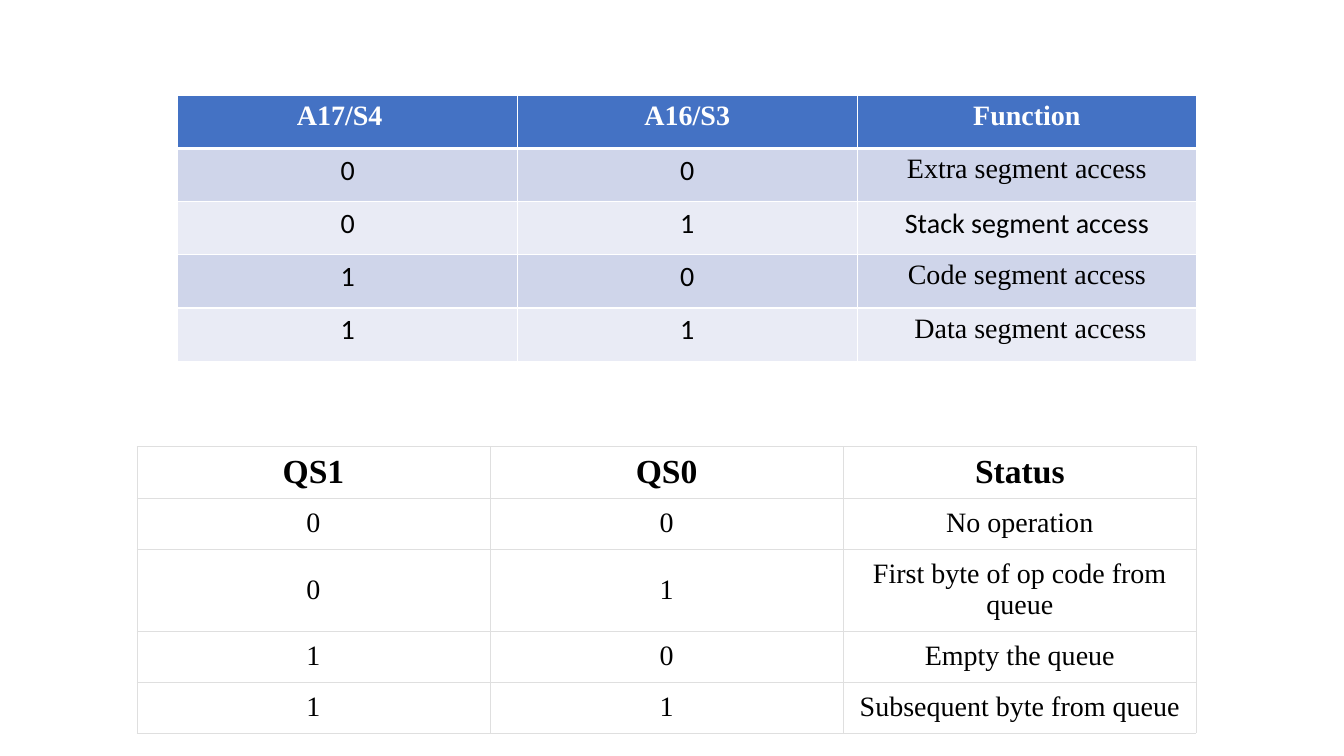
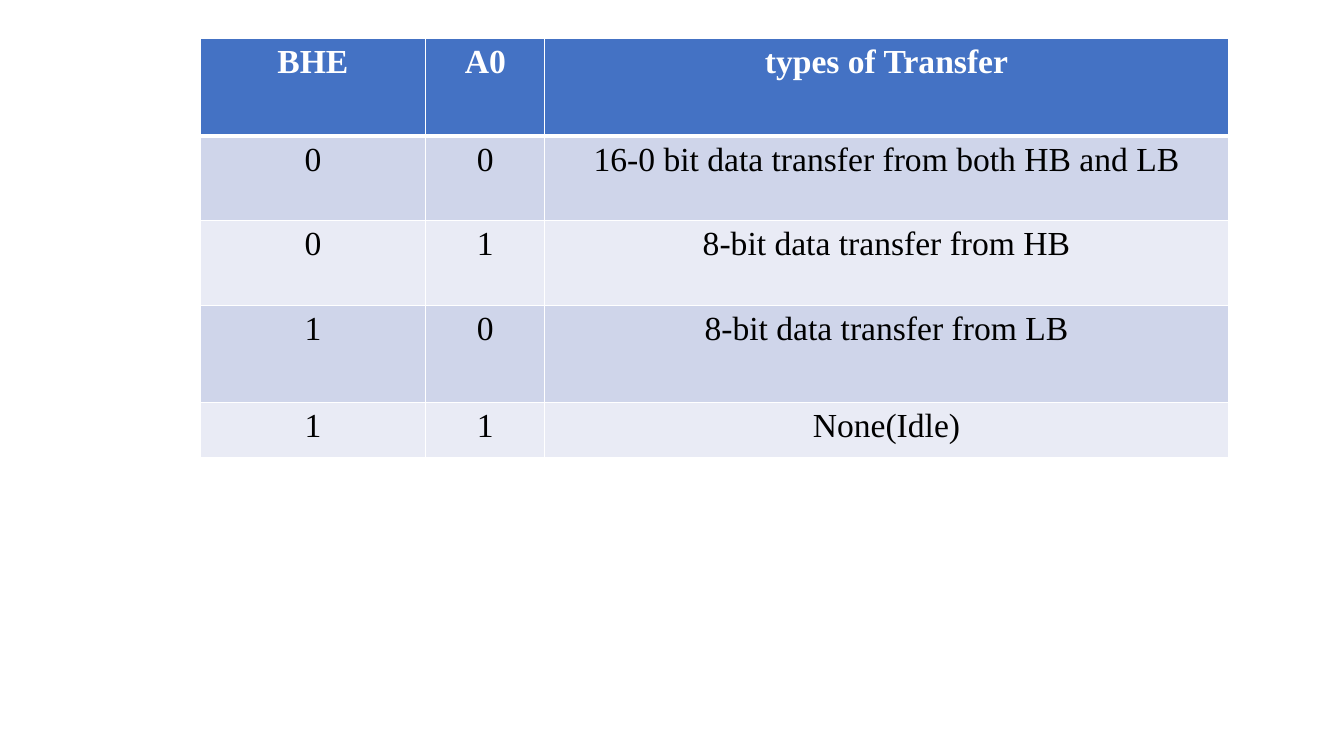
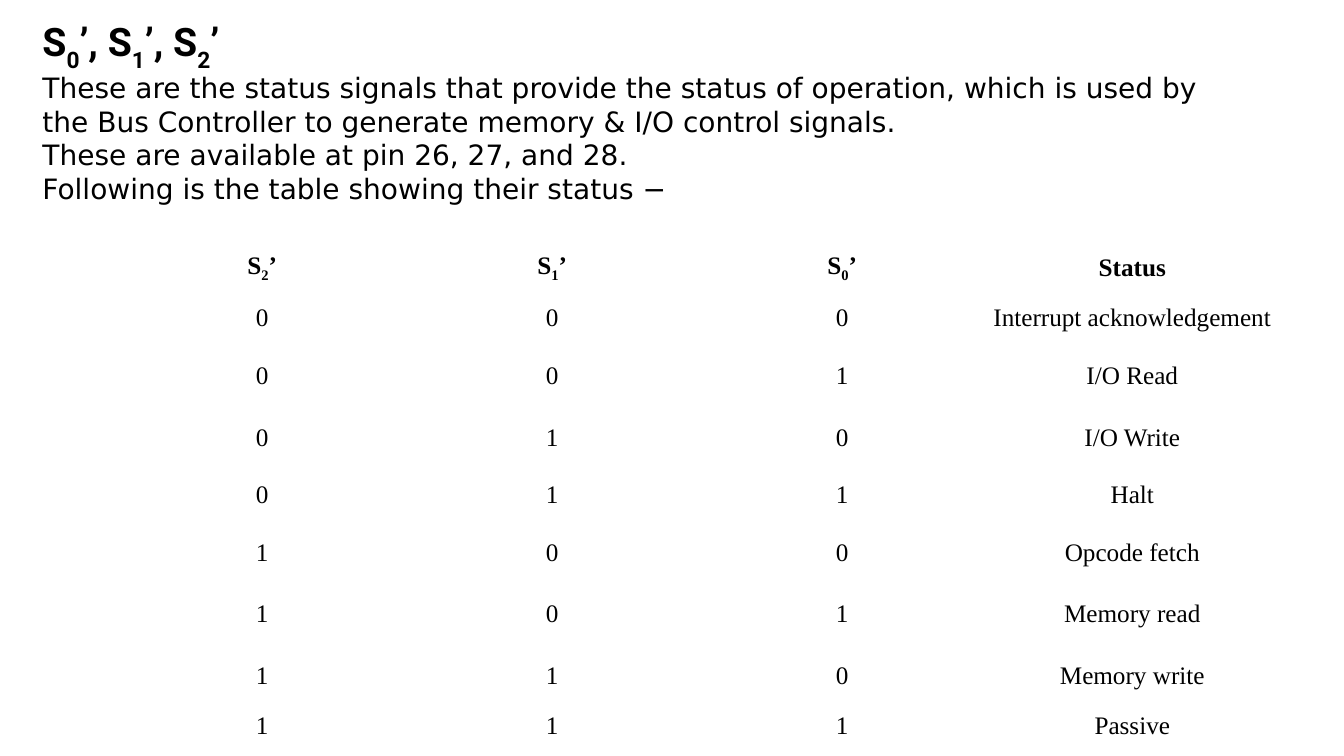
from itertools import product

from lxml import etree
from pptx import Presentation
from pptx.dml.color import RGBColor
from pptx.enum.text import MSO_ANCHOR, MSO_AUTO_SIZE, PP_ALIGN
from pptx.oxml.ns import qn
from pptx.util import Cm, Pt

CENTER, LEFT = PP_ALIGN.CENTER, PP_ALIGN.LEFT
TOP, MIDDLE = MSO_ANCHOR.TOP, MSO_ANCHOR.MIDDLE
NO_FIT = MSO_AUTO_SIZE.NONE

TITLE_LAYOUT, BLANK_LAYOUT = 1, 6
SERIF, SANS = "Times New Roman", "Calibri"

COLORS = {
    "text": "000000",
    "white": "FFFFFF",
    "header": "4472C4",
    "dark_band": "CFD5EA",
    "light_band": "E9EBF5",
    "grid": "DFDFDF",
}

# Insets are (horizontal, vertical) in cm; line widths are in points.
BANDED = {
    "fills": ("header", "dark_band", "light_band"),
    "header_text": "white",
    "line": ("white", 1),
    "header_line": 3,
    "insets": (0.25, 0.13),
    "anchor": TOP,
}
GRID = {
    "fills": ("white", "white", "white"),
    "header_text": "text",
    "line": ("grid", 0.15),
    "header_line": 0.15,
    "insets": (0.18, 0.25),
    "header_insets": (0.18, 0.18),
    "anchor": MIDDLE,
}
PLAIN = {
    "fills": None,
    "header_text": "text",
    "line": None,
    "insets": (0.13, 0.13),
    "anchor": MIDDLE,
}

SEGMENTS = [
    ("A17/S4", "A16/S3", "Function"),
    ("0", "0", "Extra segment access"),
    ("0", "1", "Stack segment access"),
    ("1", "0", "Code segment access"),
    ("1", "1", " Data segment access"),
]
QUEUE = [
    ("QS1", "QS0", "Status"),
    ("0", "0", "No operation"),
    ("0", "1", "First byte of op code from queue"),
    ("1", "0", "Empty the queue"),
    ("1", "1", "Subsequent byte from queue"),
]
TRANSFERS = [
    ("BHE", "A0", "types of Transfer"),
    ("0", "0", "16-0 bit data transfer from both HB and LB"),
    ("0", "1", "8-bit data transfer from HB"),
    ("1", "0", "8-bit data transfer from LB"),
    ("1", "1", "None(Idle)"),
]
OPERATIONS = ("Interrupt acknowledgement", "I/O Read", "I/O Write", "Halt",
              "Opcode fetch", "Memory read", "Memory write", "Passive")
BUS_STATUS = [("S_2’", "S_1’", "S_0’", "Status")] + [
    (*bits, operation) for bits, operation in zip(product("01", repeat=3), OPERATIONS)
]
INTRO = (
    "These are the status signals that provide the status of operation, which is used by",
    "the Bus Controller to generate memory & I/O control signals.",
    "These are available at pin 26, 27, and 28.",
    "Following is the table showing their status −",
)


def apply(target, values):
    for name, value in values.items():
        setattr(target, name, value)


def rgb(color):
    return RGBColor.from_string(COLORS[color])


def write(paragraph, text, font, size, color="text", bold=False, align=CENTER, drop=-25):
    """Fill a paragraph; the character after each underscore is a subscript."""
    paragraph.alignment = align
    first, *marked = text.split("_")
    pieces = [(first, 0)]
    for part in marked:
        pieces += [(part[0], drop), (part[1:], 0)]
    for piece, baseline in pieces:
        run = paragraph.add_run()
        run.text = piece
        apply(run.font, {"name": font, "size": Pt(size), "bold": bold})
        run.font.color.rgb = rgb(color)
        if baseline:
            run.font._element.set("baseline", str(baseline * 1000))


def add_borders(cell, line, thick):
    """Draw all four edges; thick maps an edge to its own width."""
    properties = cell._tc.get_or_add_tcPr()
    for edge in "LRTB":
        border = etree.SubElement(properties, qn(f"a:ln{edge}"))
        if line is None:
            etree.SubElement(border, qn("a:noFill"))
            continue
        color, width = line
        border.set("w", str(int(Pt(thick.get(edge, width)))))
        fill = etree.SubElement(border, qn("a:solidFill"))
        etree.SubElement(fill, qn("a:srgbClr"), val=COLORS[color])


def format_cell(cell, row, style):
    is_header = row == 0
    across, down = style["insets"]
    if is_header:
        across, down = style.get("header_insets", (across, down))
    apply(cell, {"margin_left": Cm(across), "margin_right": Cm(across),
                 "margin_top": Cm(down), "margin_bottom": Cm(down),
                 "vertical_anchor": style["anchor"]})
    header_edge = {0: "B", 1: "T"}.get(row)
    thick = {header_edge: style["header_line"]} if style["line"] and header_edge else {}
    add_borders(cell, style["line"], thick)
    if style["fills"] is None:
        cell.fill.background()
    else:
        header, odd, even = style["fills"]
        cell.fill.solid()
        cell.fill.fore_color.rgb = rgb(header if is_header else odd if row % 2 else even)


def add_grid(slide, content, left, top, widths, heights, style, size,
             header_size=None, sans_cells=()):
    """Add a table with measures in cm; sans_cells lists (row, column) pairs."""
    table = slide.shapes.add_table(
        len(heights), len(widths), Cm(left), Cm(top), Cm(sum(widths)), Cm(sum(heights))
    ).table
    apply(table, {"first_row": False, "horz_banding": False})
    for column, width in zip(table.columns, widths):
        column.width = Cm(width)
    for r, (height, texts) in enumerate(zip(heights, content)):
        table.rows[r].height = Cm(height)
        for c, text in enumerate(texts):
            cell = table.cell(r, c)
            format_cell(cell, r, style)
            write(cell.text_frame.paragraphs[0], text,
                  SANS if (r, c) in sans_cells else SERIF,
                  size if r else header_size or size,
                  color="text" if r else style["header_text"], bold=r == 0)
    return table


def place(placeholder, left, top, width, height):
    apply(placeholder, {"left": Cm(left), "top": Cm(top),
                        "width": Cm(width), "height": Cm(height)})
    frame = placeholder.text_frame
    apply(frame, {"margin_left": 0, "margin_right": 0, "margin_top": 0,
                  "margin_bottom": 0, "word_wrap": True,
                  "auto_size": NO_FIT, "vertical_anchor": TOP})
    return frame


def add_intro(slide):
    heading = place(slide.shapes.title, 1.07, 0.43, 31.75, 1.35)
    write(heading.paragraphs[0], "S_0’, S_1’, S_2’", "Roboto", 28,
          bold=True, align=LEFT, drop=-30)
    body = place(slide.placeholders[1], 1.07, 1.78, 31.75, 3.5)
    for i, line in enumerate(INTRO):
        paragraph = body.add_paragraph() if i else body.paragraphs[0]
        write(paragraph, line, "DejaVu Sans", 20, align=LEFT)
        apply(paragraph, {"space_before": Pt(0), "line_spacing": Pt(24)})
        properties = paragraph._p.get_or_add_pPr()
        apply_indent = {"marL": "0", "indent": "0"}
        properties.attrib.update(apply_indent)
        etree.SubElement(properties, qn("a:buNone"))


def main():
    deck = Presentation()
    apply(deck, {"slide_width": Cm(33.87), "slide_height": Cm(19.05)})
    blank, titled = (deck.slide_layouts[i] for i in (BLANK_LAYOUT, TITLE_LAYOUT))

    segments_slide = deck.slides.add_slide(blank)
    add_grid(segments_slide, QUEUE, 3.45, 11.25, [8.9] * 3,
             [1.28, 1.28, 2.05, 1.28, 1.28], GRID, 20, header_size=24)
    sans_cells = {*product(range(1, 5), range(2)), (2, 2)}
    segments = add_grid(segments_slide, SEGMENTS, 4.48, 2.4, [8.56] * 3, [1.34] * 5,
                        BANDED, 20, sans_cells=sans_cells)
    segments.cell(0, 0).margin_right = Cm(0.65)

    transfer_slide = deck.slides.add_slide(blank)
    add_grid(transfer_slide, TRANSFERS, 5.04, 0.97, [5.69, 3, 17.22],
             [2.46, 2.13, 2.13, 2.46, 1.37], BANDED, 24)

    status_slide = deck.slides.add_slide(titled)
    add_intro(status_slide)
    add_grid(status_slide, BUS_STATUS, 2.95, 6.2, [7.31] * 4,
             [1.1, 1.4, 1.55, 1.55, 1.35, 1.55, 1.55, 1.55, 1], PLAIN, 18)

    deck.save("out.pptx")


if __name__ == "__main__":
    main()
